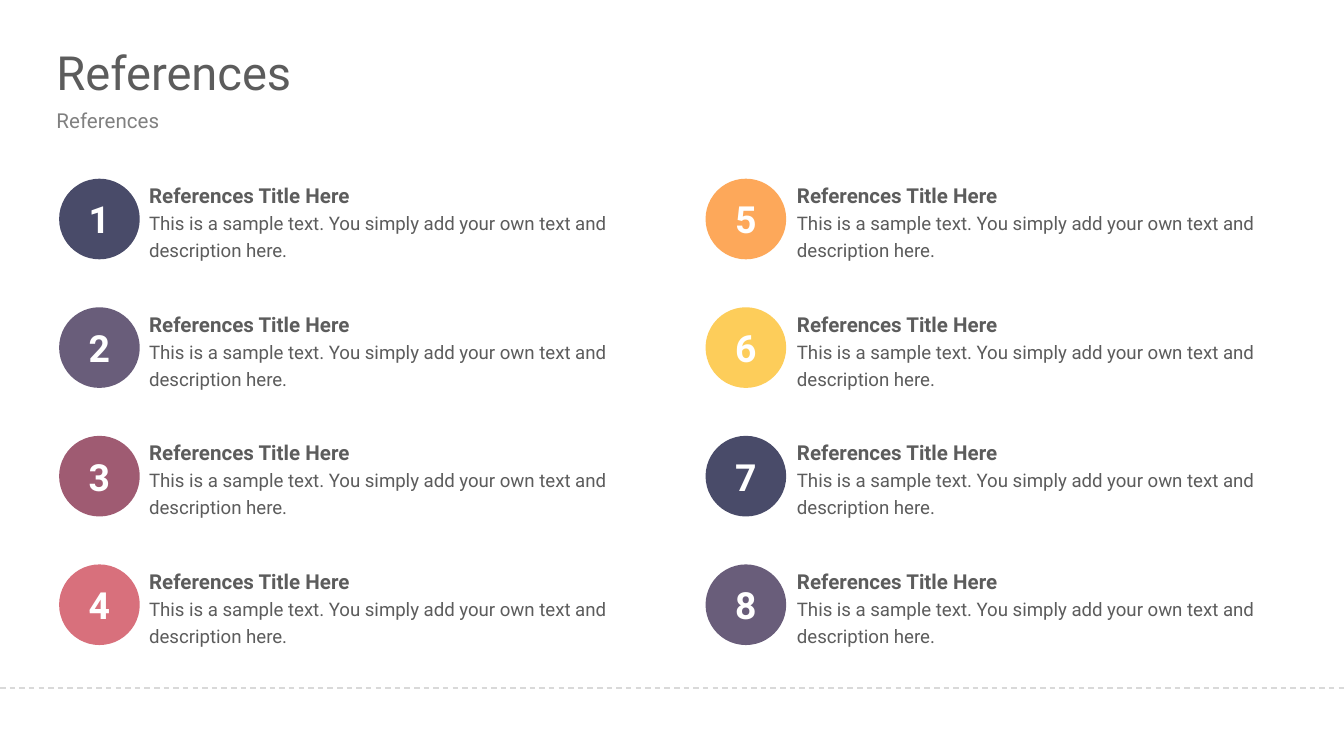
from dataclasses import dataclass

from lxml.etree import SubElement
from pptx import Presentation
from pptx.dml.color import RGBColor
from pptx.enum.dml import MSO_LINE
from pptx.enum.shapes import MSO_CONNECTOR, MSO_SHAPE
from pptx.enum.text import MSO_ANCHOR, MSO_AUTO_SIZE, PP_ALIGN
from pptx.oxml.ns import qn
from pptx.util import Inches, Pt

SLIDE_WIDTH = 10
SLIDE_HEIGHT = SLIDE_WIDTH * 9 / 16

DARK, GREY, RULE, WHITE = "5C5C5C", "808080", "D9D9D9", "FFFFFF"
HEADING = "References Title Here"
DESCRIPTION = ("This is a sample text. You simply add your own text "
               "and description here.")
COLORS = ["494B69", "695D7A", "9F5B72", "D8707C",
          "FDA85A", "FDCD5A", "494B69", "695D7A"]

# Grid: numbers run down each column
ROWS = 4
ROW_PITCH = 2.87 / (ROWS - 1)
BADGE_LEFTS, TEXT_LEFTS = (0.44, 5.25), (1.11, 5.93)
BADGE_TOP, TEXT_TOP = 1.33, 1.32
BADGE_SIZE, TEXT_WIDTH, TEXT_HEIGHT = 0.6, 3.64, 0.63


@dataclass
class Reference:
    number: int
    color: str

    @property
    def column(self) -> int:
        return (self.number - 1) // ROWS

    @property
    def offset(self) -> float:
        return (self.number - 1) % ROWS * ROW_PITCH


def rgb(color: str) -> RGBColor:
    return RGBColor.from_string(color)


def box(*lengths: float) -> list:
    return [Inches(length) for length in lengths]


def format_frame(frame, wrap: bool = True) -> None:
    settings = {"margin_left": 0, "margin_right": 0, "margin_top": 0,
                "margin_bottom": 0, "word_wrap": wrap,
                "auto_size": MSO_AUTO_SIZE.NONE,
                "vertical_anchor": MSO_ANCHOR.MIDDLE}
    for name, value in settings.items():
        setattr(frame, name, value)


def add_run(paragraph, text: str, size: float, color: str,
            bold: bool = False) -> None:
    run = paragraph.add_run()
    run.text = text
    for name, value in {"name": "Roboto", "size": Pt(size), "bold": bold}.items():
        setattr(run.font, name, value)
    run.font.color.rgb = rgb(color)


def add_filled(slide, kind: MSO_SHAPE, color: str, *lengths: float):
    shape = slide.shapes.add_shape(kind, *box(*lengths))
    shape.shadow.inherit = False
    shape.fill.solid()
    shape.fill.fore_color.rgb = rgb(color)
    shape.line.fill.background()
    return shape


def add_heading(slide) -> None:
    title = slide.shapes.title
    title.left, title.top, title.width, title.height = box(0.42, 0.31, 9.15, 0.45)
    subtitle = slide.shapes.add_textbox(*box(0.42, 0.8, 9.15, 0.19))
    for shape, size, color, wrap in ((title, 25.2, DARK, True),
                                     (subtitle, 11, GREY, False)):
        format_frame(shape.text_frame, wrap)
        paragraph = shape.text_frame.paragraphs[0]
        paragraph.alignment = PP_ALIGN.LEFT
        add_run(paragraph, "References", size, color)


def add_rule(slide) -> None:
    rule = slide.shapes.add_connector(MSO_CONNECTOR.STRAIGHT,
                                      *box(0, 5.12, SLIDE_WIDTH, 5.12))
    rule.line.color.rgb = rgb(RULE)
    rule.line.width = Pt(0.75)
    rule.line.dash_style = MSO_LINE.DASH
    SubElement(rule._element.spPr, qn("a:effectLst"))


def add_entry(slide, reference: Reference) -> None:
    entry = slide.shapes.add_textbox(*box(
        TEXT_LEFTS[reference.column], TEXT_TOP + reference.offset,
        TEXT_WIDTH, TEXT_HEIGHT))
    format_frame(entry.text_frame)
    entry.text_frame.auto_size = MSO_AUTO_SIZE.SHAPE_TO_FIT_TEXT
    paragraph = entry.text_frame.paragraphs[0]
    paragraph.line_spacing = 1.2
    paragraph.space_after = Pt(10)
    add_run(paragraph, HEADING, 11, DARK, bold=True)
    paragraph.add_line_break()
    add_run(paragraph, DESCRIPTION, 10, DARK)


def add_badge(slide, reference: Reference) -> None:
    badge = add_filled(slide, MSO_SHAPE.OVAL, reference.color,
                       BADGE_LEFTS[reference.column],
                       BADGE_TOP + reference.offset, BADGE_SIZE, BADGE_SIZE)
    format_frame(badge.text_frame)
    paragraph = badge.text_frame.paragraphs[0]
    paragraph.alignment = PP_ALIGN.CENTER
    add_run(paragraph, str(reference.number), 20, WHITE, bold=True)


def main() -> None:
    deck = Presentation()
    deck.slide_width, deck.slide_height = box(SLIDE_WIDTH, SLIDE_HEIGHT)
    slide = deck.slides.add_slide(deck.slide_layouts[5])

    # Heading and dashed rule
    add_rule(slide)
    add_heading(slide)

    # Numbered references
    references = [Reference(number, color)
                  for number, color in enumerate(COLORS, start=1)]
    for reference in references:
        add_entry(slide, reference)
    for reference in references:
        add_badge(slide, reference)

    # Footer band
    add_filled(slide, MSO_SHAPE.RECTANGLE, WHITE, 0, 5.13, SLIDE_WIDTH, 0.5)
    deck.save("out.pptx")


if __name__ == "__main__":
    main()
